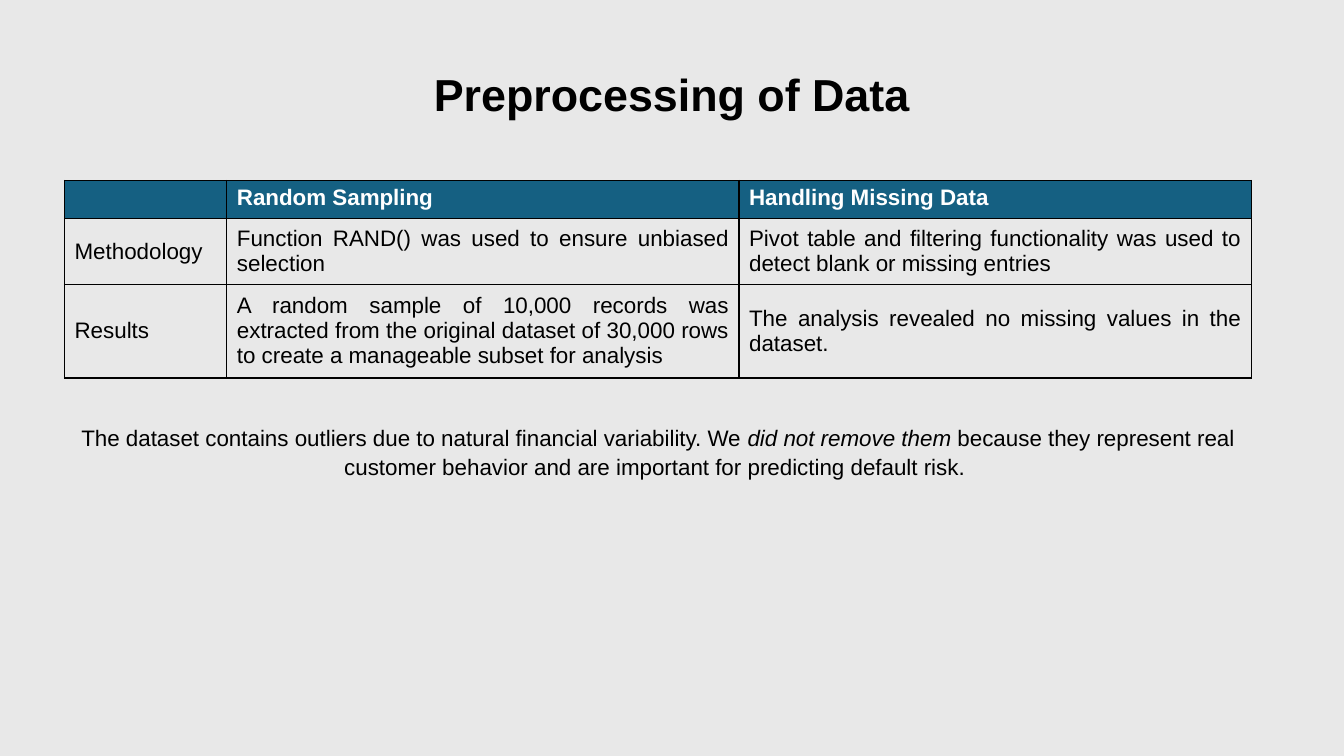
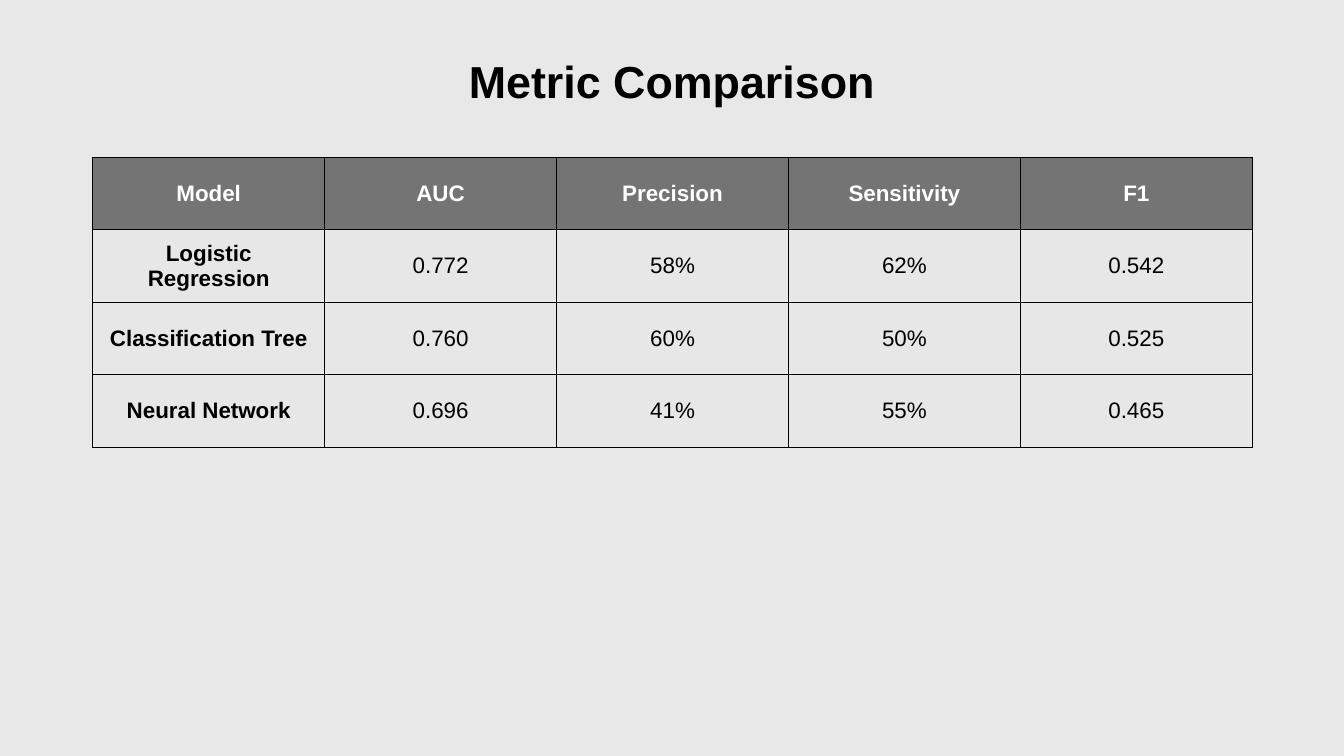
from pptx import Presentation
from pptx.dml.color import RGBColor
from pptx.enum.text import MSO_ANCHOR as Anchor, PP_ALIGN as Align
from pptx.oxml import parse_xml
from pptx.oxml.ns import nsdecls
from pptx.util import Inches, Pt

BLACK = RGBColor(0x00, 0x00, 0x00)
WHITE = RGBColor(0xFF, 0xFF, 0xFF)
BACKGROUND = RGBColor(0xE8, 0xE8, 0xE8)
PALE_GREY = RGBColor(0xE7, 0xE7, 0xE7)
DARK_GREY = RGBColor(0x74, 0x74, 0x74)
TEAL = RGBColor(0x15, 0x60, 0x82)
FONT = "Arial"
BODY_SIZE = Pt(16)

deck = Presentation()
deck.slide_width, deck.slide_height = Inches(13.33), Inches(7.5)


def add_titled_page(title, top):
    page = deck.slides.add_slide(deck.slide_layouts[6])
    page.background.fill.solid()
    page.background.fill.fore_color.rgb = BACKGROUND
    box = page.shapes.add_textbox(0, Inches(top), deck.slide_width, Inches(1.45))
    frame = box.text_frame
    frame.word_wrap = True
    frame.vertical_anchor = Anchor.MIDDLE
    para = frame.paragraphs[0]
    para.text = title
    para.alignment = Align.CENTER
    para.line_spacing = 0.9
    para.font.name, para.font.size, para.font.bold = FONT, Pt(32), True
    para.font.color.rgb = BLACK
    return page


def add_grid(page, left, top, widths, heights, rows, header_fill, body_fill,
             alignment, header_anchor=Anchor.MIDDLE, bold_labels=False):
    table = page.shapes.add_table(
        len(rows), len(widths), Inches(left), Inches(top),
        Inches(sum(widths)), Inches(sum(heights))).table
    for column, width in zip(table.columns, widths):
        column.width = Inches(width)
    for row, height in zip(table.rows, heights):
        row.height = Inches(height)
    for r, texts in enumerate(rows):
        for c, text in enumerate(texts):
            header = r == 0
            cell = table.cell(r, c)
            # Borders come before the fill in the cell properties
            for side in ("lnL", "lnR", "lnT", "lnB"):
                cell._tc.get_or_add_tcPr().append(parse_xml(
                    f'<a:{side} {nsdecls("a")} w="{Pt(1)}"><a:solidFill>'
                    f'<a:srgbClr val="{BLACK}"/></a:solidFill></a:{side}>'))
            cell.fill.solid()
            cell.fill.fore_color.rgb = header_fill if header else body_fill
            cell.vertical_anchor = header_anchor if header else Anchor.MIDDLE
            para = cell.text_frame.paragraphs[0]
            para.text = text
            para.alignment = alignment
            para.font.name, para.font.size = FONT, BODY_SIZE
            para.font.bold = header or (bold_labels and c == 0)
            para.font.color.rgb = WHITE if header else BLACK


# Slide 1: preprocessing
page = add_titled_page("Preprocessing of Data", 0.24)
add_grid(page, 0.64, 1.79, [1.61, 5.08, 5.08], [0.38, 0.65, 0.93], [
    ["", "Random Sampling", "Handling Missing Data"],
    ["Methodology",
     "Function RAND() was used to ensure unbiased selection",
     "Pivot table and filtering functionality was used to detect blank or missing entries"],
    ["Results",
     "A random sample of 10,000 records was extracted from the original dataset "
     "of 30,000 rows to create a manageable subset for analysis",
     "The analysis revealed no missing values in the dataset."],
], TEAL, BACKGROUND, Align.JUSTIFY, header_anchor=Anchor.TOP)

# Note on outliers
box = page.shapes.add_textbox(Inches(0.64), Inches(4.14), Inches(11.77), Inches(0.91))
box.text_frame.word_wrap = True
para = box.text_frame.paragraphs[0]
para.alignment = Align.CENTER
para.line_spacing = 1.07
para.font.name, para.font.size = FONT, BODY_SIZE
para.font.color.rgb = BLACK
for text, italic in [
    ("The dataset contains outliers due to natural financial variability. We ", False),
    ("did not remove them ", True),
    ("because they represent real customer behavior and are important "
     "for predicting default risk. ", False),
]:
    span = para.add_run()
    span.text = text
    span.font.italic = italic

# Slide 2: model metrics
page = add_titled_page("Metric Comparison", 0.11)
metrics = [
    ["Model", "AUC", "Precision", "Sensitivity", "F1"],
    ["Logistic Regression", "0.772", "58%", "62%", "0.542"],
    ["Classification Tree", "0.760", "60%", "50%", "0.525"],
    ["Neural Network", "0.696", "41%", "55%", "0.465"],
]
add_grid(page, 0.92, 1.56, [2.3] * 5, [0.72] * 4, metrics,
         DARK_GREY, PALE_GREY, Align.CENTER, bold_labels=True)

deck.save("out.pptx")
